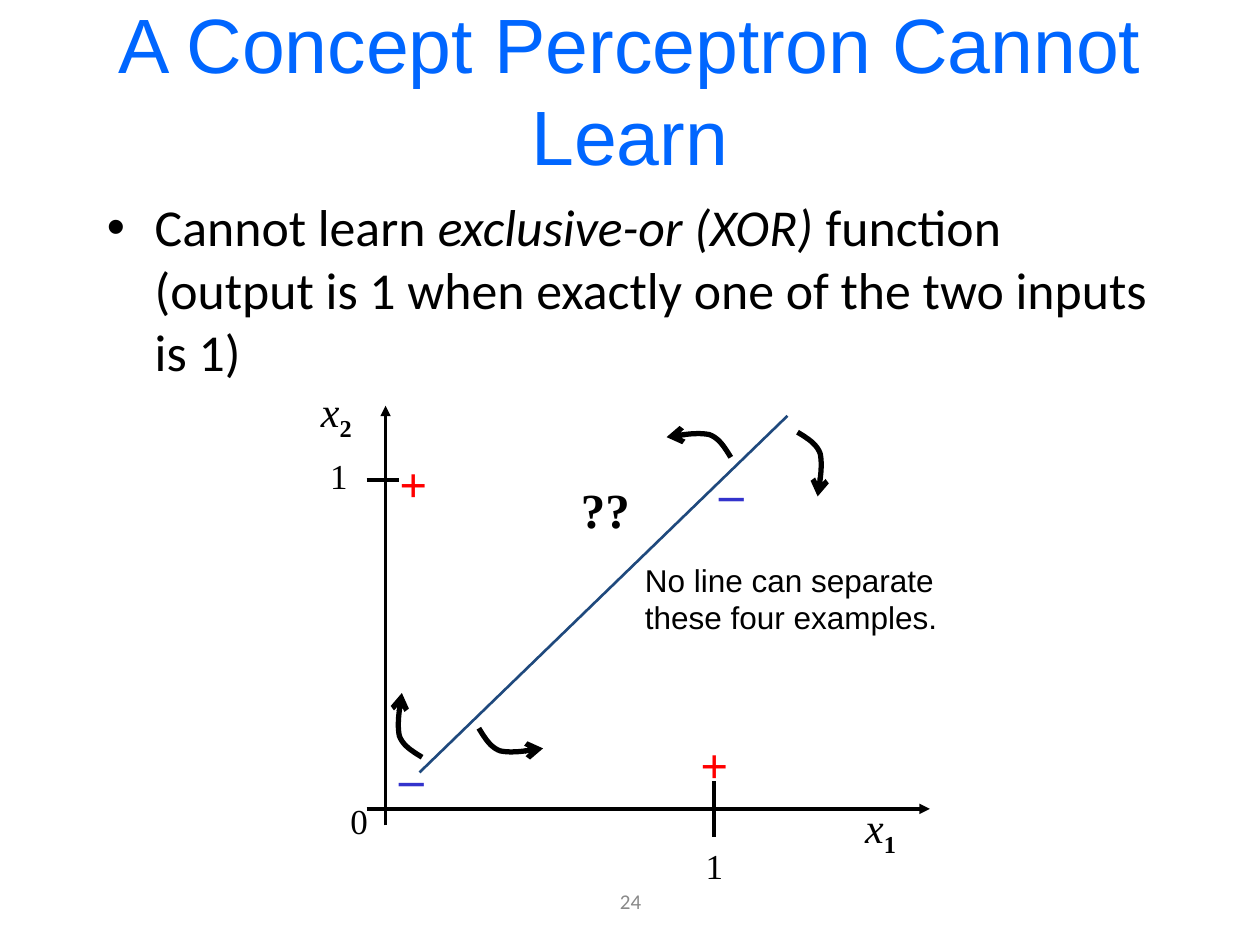
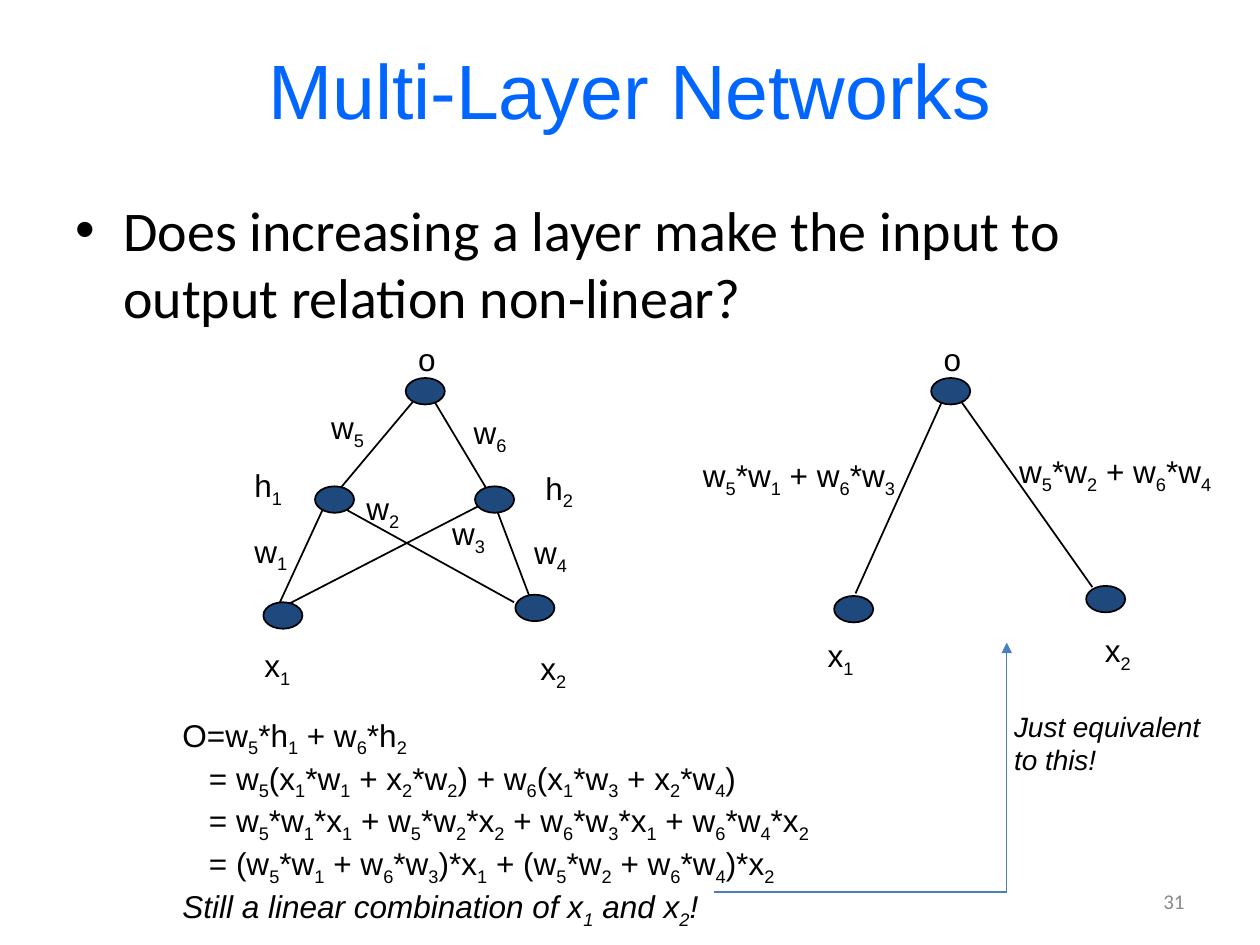
from lxml import etree
from pptx import Presentation
from pptx import util as u
from pptx.dml import color
from pptx.enum import shapes, text
from pptx.oxml import ns

COLORS = {"title": "0066FF", "ink": "000000", "number": "898989", "navy": "1F497D",
          "plus": "FF0000", "minus": "3333CC", "pointer": "4B7EBC"}
ALIGN = text.PP_ALIGN
ANCHOR = text.MSO_ANCHOR

# Shared text formats
TITLE = {"name": "Arial", "size": u.Pt(44)}
NUMBER = {"name": "Calibri", "size": u.Pt(12)}
LABEL = {"name": "Arial", "size": u.Pt(18)}
NOTE = {"name": "Arial", "size": u.Pt(16), "italic": True}
AXIS = {"name": "Times New Roman", "size": u.Pt(24)}
TICK = {"name": "Times New Roman", "size": u.Pt(20)}
SIGN = {"name": "Times New Roman", "size": u.Pt(28), "bold": True}


def add_text(slide, box, lines, font_format, ink="ink", align=ALIGN.LEFT, anchor=ANCHOR.TOP,
             wrap=False, grow=True, bullet=False, bold_subscript=False, indent=0):
    """In each line, ~ switches italics and _ lowers the next character."""
    shape = slide.shapes.add_textbox(*[u.Inches(length) for length in box])
    frame = shape.text_frame
    frame.word_wrap = wrap
    frame.auto_size = (text.MSO_AUTO_SIZE.SHAPE_TO_FIT_TEXT if grow
                       else text.MSO_AUTO_SIZE.NONE)
    frame.vertical_anchor = anchor
    for index, line in enumerate(lines):
        paragraph = frame.paragraphs[0] if index == 0 else frame.add_paragraph()
        paragraph.alignment = align
        properties = paragraph._p.get_or_add_pPr()
        if bullet:
            properties.set("marL", str(u.Inches(0.38)))
            properties.set("indent", str(u.Inches(-0.38)))
            etree.SubElement(properties, ns.qn("a:buFont"), typeface="Arial")
            etree.SubElement(properties, ns.qn("a:buChar"), char="•")
        elif line.startswith("="):
            properties.set("marL", str(u.Inches(indent)))
        for part_index, part in enumerate(line.split("~")):
            first, *lowered = part.split("_")
            pieces = [(first, False)]
            for piece in lowered:
                pieces += [(piece[0], True), (piece[1:], False)]
            for words, is_subscript in pieces:
                if not words:
                    continue
                run = paragraph.add_run()
                run.text = words
                for name, value in font_format.items():
                    setattr(run.font, name, value)
                run.font.color.rgb = color.RGBColor.from_string(COLORS[ink])
                if part_index % 2:
                    run.font.italic = True
                if is_subscript:
                    run.font._element.set("baseline", "-25000")
                    if bold_subscript:
                        run.font.bold = True


def style_line(shape, ink, width, arrow=None):
    shape.line.color.rgb = color.RGBColor.from_string(COLORS[ink])
    shape.line.width = u.Pt(width)
    properties = shape._element.spPr
    if arrow:
        etree.SubElement(properties.find(ns.qn("a:ln")), ns.qn("a:tailEnd"), type=arrow)
    if properties.find(ns.qn("a:effectLst")) is None:
        etree.SubElement(properties, ns.qn("a:effectLst"))


presentation = Presentation()
presentation.slide_width = u.Inches(10)
presentation.slide_height = u.Inches(7.5)

# Title, bullet and number of each slide; lines as (start, end, ink, width, arrow)
pages = [
    {"title": "A Concept Perceptron Cannot Learn",
     "bullet": "Cannot learn ~exclusive-or (XOR) ~function "
               "(output is 1 when exactly one of the two inputs is 1)",
     "body": (0.75, 1.5, 8.5, 1.42), "body_size": 29.6,
     "number": "24", "number_box": (3.42, 6.95, 3.17, 0.4), "number_align": ALIGN.CENTER,
     "lines": [((3.06, 6.55), (3.06, 3.22), "ink", 2, "triangle"),
               ((2.91, 6.42), (7.38, 6.42), "ink", 2, "triangle"),
               ((3.33, 6.13), (6.25, 3.3), "navy", 1.5, None),
               ((2.91, 3.81), (3.17, 3.81), "ink", 2.25, None),
               ((5.67, 6.2), (5.67, 6.64), "ink", 2.25, None)]},
    {"title": "Multi-Layer Networks",
     "bullet": "Does increasing a layer make the input to output relation non-linear?",
     "body": (0.5, 1.5, 9, 5.67), "body_size": 32,
     "number": "31", "number_box": (7.17, 6.95, 2.33, 0.4), "number_align": ALIGN.RIGHT,
     "lines": [(start, end, "ink", 1, None) for start, end in [
                   ((2.6, 3.96), (2.18, 4.87)), ((2.63, 3.98), (4.08, 4.78)),
                   ((3.87, 3.98), (2.18, 4.85)), ((3.91, 3.96), (4.22, 4.78)),
                   ((3.36, 3.09), (2.63, 3.96)), ((3.39, 3.09), (3.91, 3.96)),
                   ((7.52, 3.09), (6.79, 4.71)), ((7.56, 3.09), (8.67, 4.66))]]
              + [((5.67, 7.08), (7.99, 7.08), "pointer", 0.75, None),
                 ((7.99, 7.08), (7.99, 5.1), "pointer", 0.75, "triangle")]},
]

for page in pages:
    slide = presentation.slides.add_slide(presentation.slide_layouts[6])
    add_text(slide, (0.5, 0.08, 9, 1.25), [page["title"]], TITLE, "title",
             ALIGN.CENTER, ANCHOR.MIDDLE, wrap=True, grow=False)
    add_text(slide, page["body"], [page["bullet"]],
             {"name": "Calibri", "size": u.Pt(page["body_size"])},
             wrap=True, grow=False, bullet=True)
    add_text(slide, page["number_box"], [page["number"]], NUMBER, "number",
             page["number_align"], ANCHOR.MIDDLE, wrap=True, grow=False)
    for start, end, ink, width, arrow in page["lines"]:
        connector = slide.shapes.add_connector(
            shapes.MSO_CONNECTOR.STRAIGHT, *[u.Inches(length) for length in start + end])
        style_line(connector, ink, width, arrow)

xor_slide, network_slide = presentation.slides

# Turning arrows: one curve, mirrored and swapped around the line's two ends
bend = [(0, 0), (0.05, 0.08), (0.09, 0.15), (0.17, 0.18),
        (0.26, 0.2), (0.38, 0.18), (0.51, 0.16)]
curve = []
for first in (0, 3):
    for step in range(13):
        t = step / 12
        weights = ((1 - t) ** 3, 3 * t * (1 - t) ** 2, 3 * t ** 2 * (1 - t), t ** 3)
        curve.append([sum(weight * point[axis] for weight, point
                          in zip(weights, bend[first:first + 4])) for axis in (0, 1)])
for x, y, sign, swapped in [(5.8, 3.63, -1, False), (6.33, 3.43, 1, True),
                            (3.35, 6.01, -1, True), (3.8, 5.78, 1, False)]:
    points = []
    for along, across in curve:
        dx, dy = (across, along) if swapped else (along, across)
        points.append((u.Inches(x + sign * dx), u.Inches(y + sign * dy)))
    builder = xor_slide.shapes.build_freeform(*points[0])
    builder.add_line_segments(points[1:], close=False)
    turn = builder.convert_to_shape()
    turn.shadow.inherit = False
    turn.fill.background()
    style_line(turn, "ink", 3, "arrow")

# Axis names, ticks and example signs
for left, top, width, height, words, font_format, ink in [
        (2.44, 3.01, 0.46, 0.51, "~x~_2", AXIS, "ink"),
        (6.76, 6.31, 0.46, 0.51, "~x~_1", AXIS, "ink"),
        (2.52, 3.56, 0.34, 0.43, "1", TICK, "ink"),
        (2.68, 6.3, 0.34, 0.43, "0", TICK, "ink"),
        (5.5, 6.65, 0.34, 0.43, "1", TICK, "ink"),
        (4.51, 3.76, 0.59, 0.57, "??", SIGN, "ink"),
        (3.07, 3.55, 0.42, 0.57, "+", SIGN, "plus"),
        (5.46, 5.78, 0.42, 0.57, "+", SIGN, "plus"),
        (5.61, 3.62, 0.39, 0.57, "–", SIGN, "minus"),
        (3.07, 5.88, 0.39, 0.57, "–", SIGN, "minus")]:
    add_text(xor_slide, (left, top, width, height), [words], font_format, ink,
             ALIGN.CENTER, bold_subscript=True)
add_text(xor_slide, (5.02, 4.4, 2.54, 0.71),
         ["No line can separate", "these four examples."], LABEL)

# Neurons of both networks
for left, top in [(2.09, 4.78), (4.09, 4.72), (2.5, 3.86), (3.77, 3.86), (3.22, 3),
                  (6.62, 4.73), (8.62, 4.65), (7.39, 3)]:
    neuron = network_slide.shapes.add_shape(
        shapes.MSO_SHAPE.OVAL, u.Inches(left), u.Inches(top), u.Inches(0.31), u.Inches(0.21))
    neuron.shadow.inherit = False
    neuron.fill.solid()
    neuron.fill.fore_color.rgb = color.RGBColor.from_string(COLORS["navy"])
    style_line(neuron, "ink", 1)

# Unit and weight labels
for left, top, width, words, wrap in [
        (2, 5.08, 0.42, "x_1", False), (4.19, 5.1, 0.42, "x_2", False),
        (1.92, 3.65, 0.44, "h_1", False), (4.23, 3.67, 0.44, "h_2", False),
        (3.22, 2.65, 0.34, "o", False), (1.92, 4.17, 0.48, "w_1", False),
        (2.81, 3.83, 0.48, "w_2", False), (3.49, 4.03, 0.48, "w_3", False),
        (4.14, 4.18, 0.59, "w_4", True), (2.53, 3.19, 0.59, "w_5", True),
        (3.66, 3.23, 0.59, "w_6", True), (7.39, 2.65, 0.34, "o", False),
        (6.47, 5, 0.42, "x_1", False), (8.67, 4.96, 0.42, "x_2", False),
        (5.48, 3.57, 2.08, "w_5*w_1 + w_6*w_3", True),
        (7.99, 3.54, 1.78, "w_5*w_2 + w_6*w_4", True)]:
    add_text(network_slide, (left, top, width, 0.4), [words], LABEL, wrap=wrap)

# Derivation and its conclusion
add_text(network_slide, (1.35, 5.63, 5.44, 1.62), [
    "O=w_5*h_1 + w_6*h_2",
    "= w_5(x_1*w_1 + x_2*w_2) + w_6(x_1*w_3 + x_2*w_4)",
    "= w_5*w_1*x_1 + w_5*w_2*x_2 + w_6*w_3*x_1 + w_6*w_4*x_2",
    "= (w_5*w_1 + w_6*w_3)*x_1 + (w_5*w_2 + w_6*w_4)*x_2",
    "~Still a linear combination of x_1 and x_2!"], LABEL, indent=0.21)
add_text(network_slide, (7.95, 5.58, 1.76, 0.64), ["Just equivalent", "to this!"], NOTE)

presentation.save("out.pptx")
